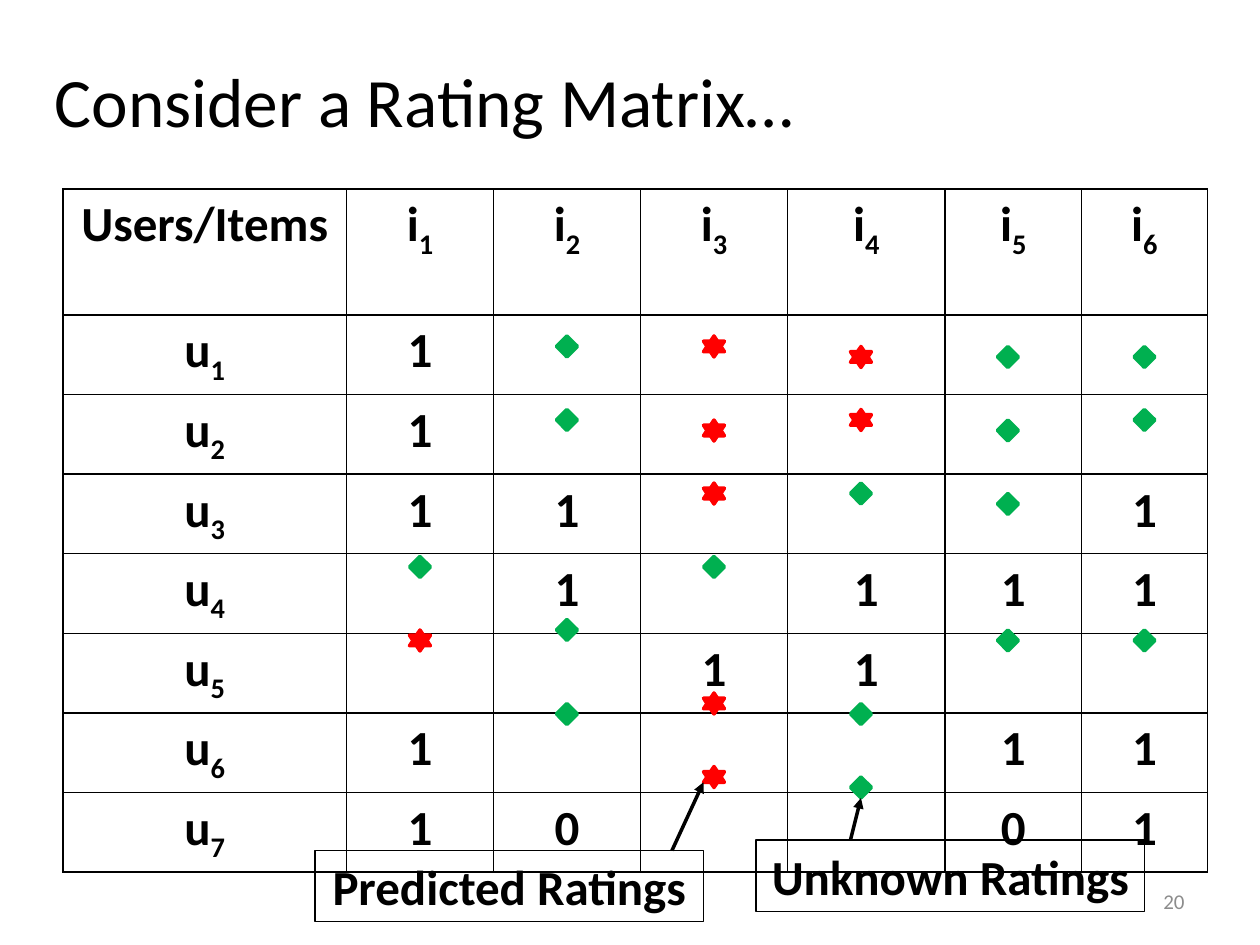
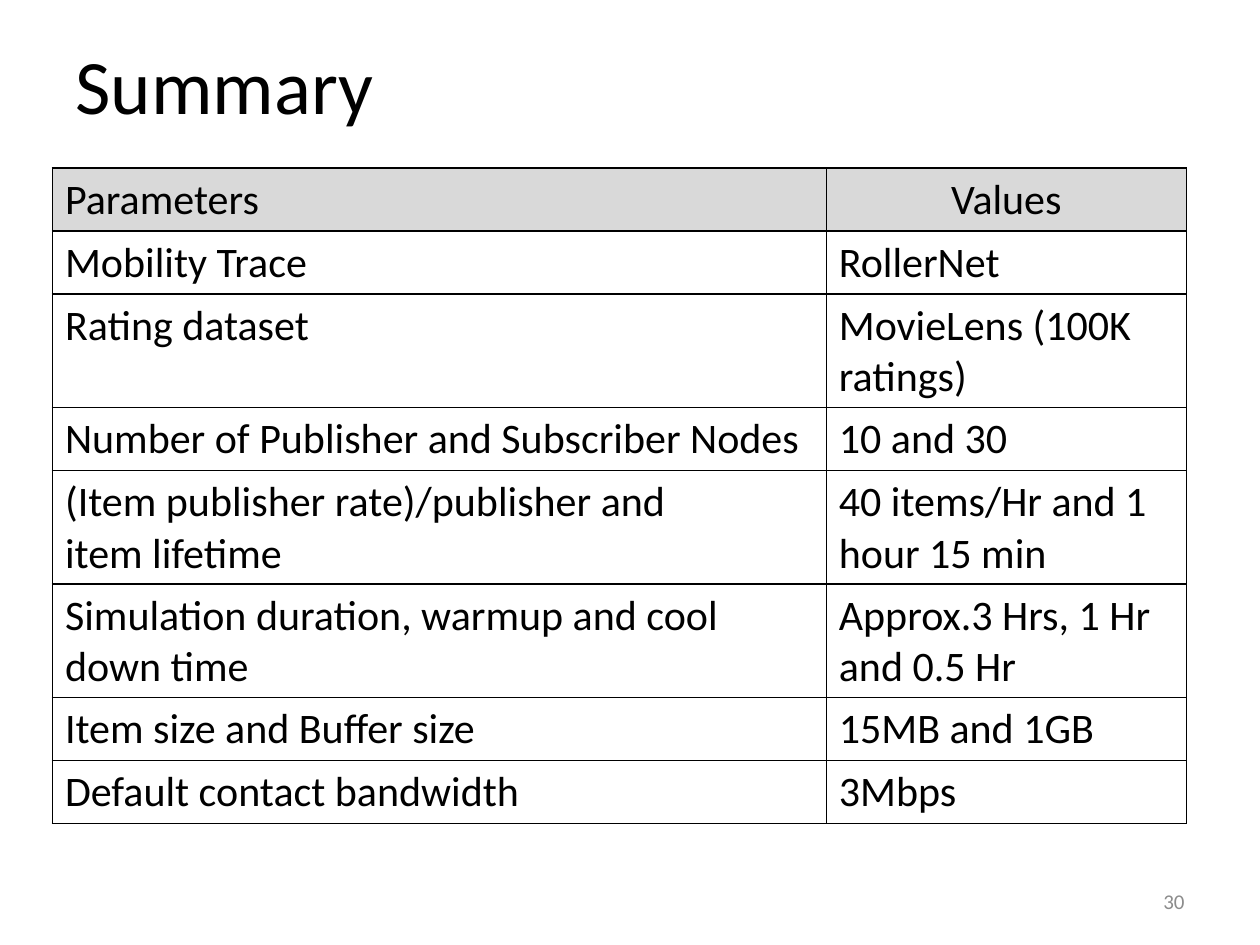
from dataclasses import dataclass
from typing import Any

import lxml.etree
import pptx
import pptx.dml.color
import pptx.enum.shapes
import pptx.enum.text
import pptx.oxml
import pptx.oxml.ns
import pptx.util

RGBColor = pptx.dml.color.RGBColor
Align = pptx.enum.text.PP_ALIGN
Anchor = pptx.enum.text.MSO_ANCHOR
Preset = pptx.enum.shapes.MSO_SHAPE
qn = pptx.oxml.ns.qn

# Shared look
BLACK = RGBColor(0x00, 0x00, 0x00)
NUMBER_GREY = RGBColor(0x8C, 0x8C, 0x8C)
HEADER_GREY = RGBColor(0xD9, 0xD9, 0xD9)
UNKNOWN_GREEN = RGBColor(0x00, 0xB0, 0x50)
PREDICTED_RED = RGBColor(0xFF, 0x00, 0x00)
FONT = "Calibri"
STEPS_PER_INCH = 12  # every length below is counted in grid steps
LINE_WIDTH = pptx.util.Pt(2)
MATRIX_FORMAT = {"size": pptx.util.Pt(28), "bold": True}
SUMMARY_FORMAT = {"size": pptx.util.Pt(24), "bold": False}


def step(count: float) -> int:
    """Length of a number of grid steps."""
    return pptx.util.Inches(count / STEPS_PER_INCH)


@dataclass(frozen=True)
class Box:
    left: float
    top: float
    width: float
    height: float

    def place(self) -> tuple[int, ...]:
        return tuple(step(n) for n in (self.left, self.top, self.width, self.height))


@dataclass(frozen=True)
class Rating:
    """A kind of missing rating and the mark that stands for it."""
    preset: Any
    color: RGBColor


@dataclass(frozen=True)
class Callout:
    """A framed label with an arrow to one mark."""
    text: str
    box: Box
    arrow_from: tuple[float, float]
    arrow_to: tuple[float, float]


@dataclass(frozen=True)
class Grid:
    """Place and formats of a table."""
    left: float
    top: float
    columns: list[float]
    rows: list[float]
    text_format: dict[str, Any]
    header_fill: RGBColor | None = None


UNKNOWN = Rating(Preset.FLOWCHART_DECISION, UNKNOWN_GREEN)
PREDICTED = Rating(Preset.STAR_6_POINT, PREDICTED_RED)
MARK_SIZE = 2
NUMBER_BOX = Box(86, 83.4, 28, 4.8)

# Rating matrix; "_" starts a subscript
ITEMS = ["Users/Items"] + [f"i_{n}" for n in range(1, 7)]
KNOWN_RATINGS = [
    ["1", "", "", "", "", ""],
    ["1", "", "", "", "", ""],
    ["1", "1", "", "", "", "1"],
    ["", "1", "", "1", "1", "1"],
    ["", "", "1", "1", "", ""],
    ["1", "", "", "", "1", "1"],
    ["1", "0", "", "", "0", "1"],
]
MATRIX = [ITEMS] + [[f"u_{n}", *known] for n, known in enumerate(KNOWN_RATINGS, 1)]
MATRIX_GRID = Grid(6, 18, [27, 14, 14, 14, 15, 13, 12], [12] + [6.6] * 7, MATRIX_FORMAT)

# Left step of each item's marks, and the top steps of the marks below it
ITEM_LEFTS = [39, 53, 67, 81, 95, 108]
MARK_TOPS = [
    (UNKNOWN, [[53], [32, 39, 59, 67], [53], [46, 67, 74], [33, 40, 47, 60], [33, 39, 60]]),
    (PREDICTED, [[60], [], [32, 40, 46, 66, 73], [33, 39], [], []]),
]
UNKNOWN_CALLOUT = Callout("Unknown Ratings", Box(72, 80, 37, 6.8), (81, 80), (82, 76))
PREDICTED_CALLOUT = Callout("Predicted Ratings", Box(30, 81, 37, 6.8), (64, 81), (67, 74.5))

# Simulation parameters; a line break starts a paragraph
PARAMETERS = [
    ["Parameters", "Values"],
    ["Mobility Trace", "RollerNet"],
    ["Rating dataset", "MovieLens (100K ratings)"],
    ["Number of Publisher and Subscriber Nodes", "10 and 30"],
    ["(Item publisher rate)/publisher and\nitem lifetime", "40 items/Hr and 1 hour 15 min"],
    ["Simulation duration, warmup and cool down time", "Approx.3 Hrs, 1 Hr and 0.5 Hr"],
    ["Item size and Buffer size", "15MB and 1GB"],
    ["Default contact bandwidth", "3Mbps"],
]
SUMMARY_GRID = Grid(5, 16, [73.7, 34.3], [4.9] * 8, SUMMARY_FORMAT, HEADER_GREY)


def write(frame: Any, text: str, align: Any, color: RGBColor = BLACK, **font_format: Any) -> None:
    """Fill a text frame, one paragraph a line."""
    frame.word_wrap = True
    frame.text = ""
    for index, line in enumerate(text.split("\n")):
        paragraph = frame.add_paragraph() if index else frame.paragraphs[0]
        paragraph.alignment = align
        base, _, subscript = line.partition("_")
        fonts = [paragraph.font]
        for part in filter(None, (base, subscript)):
            run = paragraph.add_run()
            run.text = part
            fonts.append(run.font)
            if part is subscript:
                run._r.get_or_add_rPr().set("baseline", "-25000")
        for font in fonts:
            for name, value in {"name": FONT, **font_format}.items():
                setattr(font, name, value)
            font.color.rgb = color


def add_titled_slide(deck: Any, title: str, box: Box, size: float, number: int) -> Any:
    slide = deck.slides.add_slide(deck.slide_layouts[5])
    heading = slide.shapes.title
    heading.left, heading.top, heading.width, heading.height = box.place()
    heading.text_frame.vertical_anchor = Anchor.MIDDLE
    write(heading.text_frame, title, Align.LEFT, size=pptx.util.Pt(size))
    page = slide.shapes.add_textbox(*NUMBER_BOX.place()).text_frame
    page.vertical_anchor = Anchor.MIDDLE
    write(page, str(number), Align.RIGHT, NUMBER_GREY, size=pptx.util.Pt(12))
    return slide


def add_borders(cell: Any) -> None:
    properties = cell._tc.get_or_add_tcPr()
    for side in ("lnL", "lnR", "lnT", "lnB"):
        border = lxml.etree.SubElement(properties, qn(f"a:{side}"), w=str(pptx.util.Pt(1)))
        fill = lxml.etree.SubElement(border, qn("a:solidFill"))
        lxml.etree.SubElement(fill, qn("a:srgbClr"), val=str(BLACK))


def add_grid(slide: Any, grid: Grid, content: list[list[str]], centred: Any) -> None:
    """Draw a table; centred tells which (row, column) cells are centred."""
    box = Box(grid.left, grid.top, sum(grid.columns), sum(grid.rows))
    table = slide.shapes.add_table(len(grid.rows), len(grid.columns), *box.place()).table
    table.first_row = table.horz_banding = False
    for column, width in zip(table.columns, grid.columns):
        column.width = step(width)
    for row, height in zip(table.rows, grid.rows):
        row.height = step(height)
    for r, texts in enumerate(content):
        for c, text in enumerate(texts):
            cell = table.cell(r, c)
            add_borders(cell)
            if r == 0 and grid.header_fill is not None:
                cell.fill.solid()
                cell.fill.fore_color.rgb = grid.header_fill
            else:
                cell.fill.background()
            align = Align.CENTER if centred(r, c) else Align.LEFT
            write(cell.text_frame, text, align, **grid.text_format)


def add_mark(slide: Any, rating: Rating, left: float, top: float) -> Any:
    mark = slide.shapes.add_shape(rating.preset, *Box(left, top, MARK_SIZE, MARK_SIZE).place())
    mark.shadow.inherit = False
    mark.fill.solid()
    mark.fill.fore_color.rgb = rating.color
    mark.line.color.rgb = rating.color
    mark.line.width = LINE_WIDTH
    return mark


def add_callout(slide: Any, callout: Callout, target: Any = None) -> None:
    """Draw the arrow and label; a target is joined at its bottom."""
    ends = (step(n) for n in callout.arrow_from + callout.arrow_to)
    arrow = slide.shapes.add_connector(pptx.enum.shapes.MSO_CONNECTOR.STRAIGHT, *ends)
    if target is not None:
        arrow.end_connect(target, 2)
    arrow.line.color.rgb = BLACK
    arrow.line.width = LINE_WIDTH
    lxml.etree.SubElement(arrow.line._get_or_add_ln(), qn("a:tailEnd"), type="triangle")
    lxml.etree.SubElement(arrow._element.spPr, qn("a:effectLst"))

    label = slide.shapes.add_textbox(*callout.box.place())
    label.line.color.rgb = BLACK
    label.line.width = pptx.util.Pt(0.75)
    write(label.text_frame, callout.text, Align.CENTER, **MATRIX_FORMAT)


def build_matrix_slide(deck: Any) -> None:
    slide = add_titled_slide(deck, "Consider a Rating Matrix…", Box(4, 5, 114, 9), 39.6, 20)
    add_grid(slide, MATRIX_GRID, MATRIX, lambda r, c: True)
    marks = {}
    for rating, tops_by_item in MARK_TOPS:
        for left, tops in zip(ITEM_LEFTS, tops_by_item):
            for top in tops:
                marks[left, top] = add_mark(slide, rating, left, top)
    add_callout(slide, UNKNOWN_CALLOUT, marks[81, 74])
    add_callout(slide, PREDICTED_CALLOUT)


def build_summary_slide(deck: Any) -> None:
    slide = add_titled_slide(deck, "Summary", Box(6, 2, 108, 12), 44, 30)
    add_grid(slide, SUMMARY_GRID, PARAMETERS, lambda r, c: (r, c) == (0, 1))


def main() -> None:
    deck = pptx.Presentation()
    deck.slide_width, deck.slide_height = step(120), step(90)
    build_matrix_slide(deck)
    build_summary_slide(deck)
    deck.save("out.pptx")


if __name__ == "__main__":
    main()
